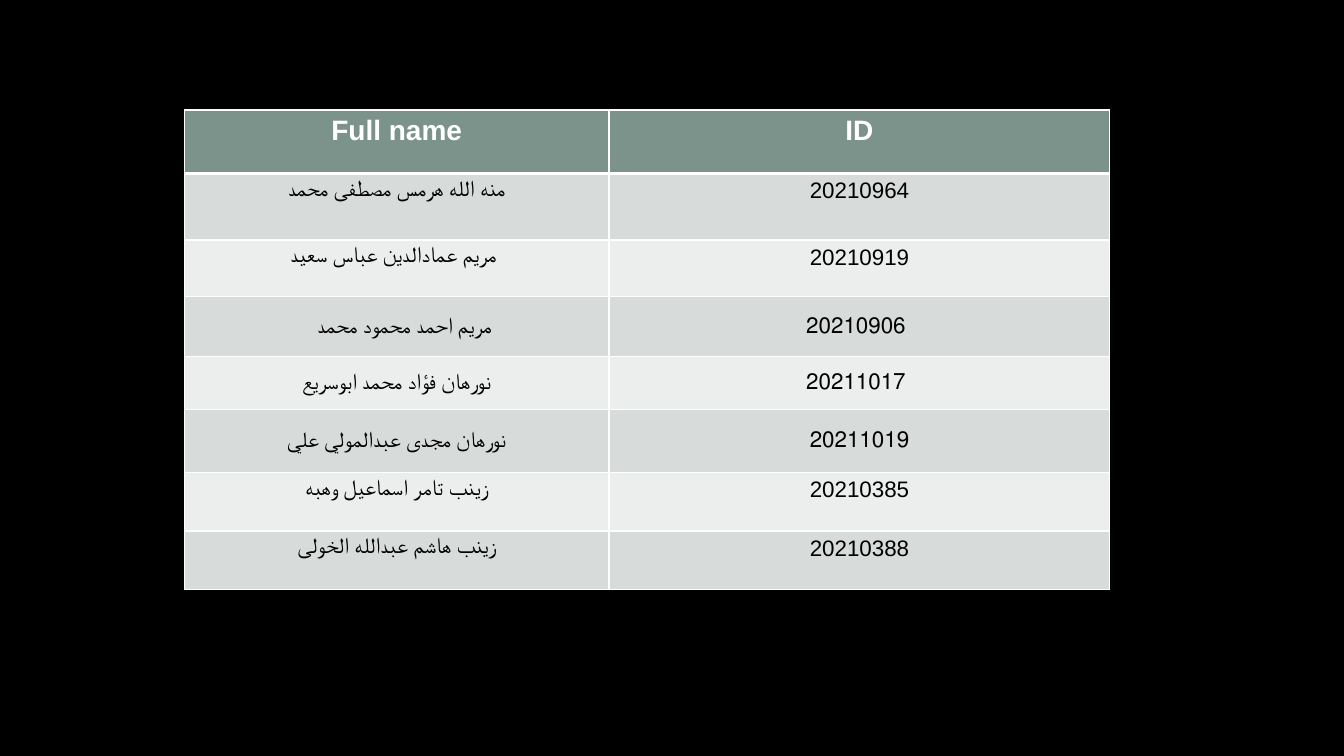
from dataclasses import dataclass

from lxml.etree import SubElement
from pptx import Presentation
from pptx.dml.color import RGBColor
from pptx.enum.text import MSO_ANCHOR, PP_ALIGN
from pptx.oxml.ns import qn
from pptx.util import Cm, Pt


@dataclass(frozen=True)
class Theme:
    font: str = "Arial"
    background: str = "000000"
    border: str = "FFFFFF"
    header_fill: str = "7C938B"
    header_text: str = "FFFFFF"
    bands: tuple = ("ECEEEE", "D7DCDA")
    body_text: str = "000000"
    header_size: int = 20
    body_size: int = 16
    thin: int = 1
    thick: int = 3


@dataclass(frozen=True)
class Student:
    name: str
    number: str
    height: float
    middle: bool = False
    name_insets: tuple = (0, 0)
    number_insets: tuple = (0, 0)


THEME = Theme()
HEADINGS = ("Full name", "ID")
HEADER_HEIGHT = 1.6
COLUMN_WIDTHS = (10.7, 12.62)
STUDENTS = (
    Student("منه الله هرمس مصطفى محمد", "20210964", 1.68),
    Student("مريم عمادالدين عباس سعيد", "20210919", 1.42, name_insets=(0, 0.16)),
    Student("مريم احمد محمود محمد", "20210906", 1.52, True, (0.4, 0), (0, 0.18)),
    Student("نورهان فؤاد محمد ابوسريع", "20211017", 1.32, True, (0, 0), (0, 0.18)),
    Student("نورهان مجدى عبدالمولي علي", "20211019", 1.6, True),
    Student("زينب تامر اسماعيل وهبه", "20210385", 1.47),
    Student("زينب هاشم عبدالله الخولى", "20210388", 1.47),
)


def set_borders(cell, top, bottom):
    tc_pr = cell._tc.get_or_add_tcPr()
    widths = {"a:lnL": THEME.thin, "a:lnR": THEME.thin, "a:lnT": top, "a:lnB": bottom}
    for tag, width in widths.items():
        ln = SubElement(tc_pr, qn(tag), w=str(Pt(width)))
        fill = SubElement(ln, qn("a:solidFill"))
        SubElement(fill, qn("a:srgbClr"), val=THEME.border)


def style_cell(cell, fill, top=THEME.thin, bottom=THEME.thin):
    set_borders(cell, top, bottom)
    cell.fill.solid()
    cell.fill.fore_color.rgb = RGBColor.from_string(fill)


def write_cell(cell, text, size, color, bold=False, rtl=False):
    p = cell.text_frame.paragraphs[0]
    p.alignment = PP_ALIGN.CENTER
    if rtl:
        p._p.get_or_add_pPr().set("rtl", "1")
    r = p.add_run()
    r.text = text
    r.font.name = THEME.font
    r.font.size = Pt(size)
    r.font.bold = bold
    r.font.color.rgb = RGBColor.from_string(color)


def place_text(cell, insets, middle):
    side = 0 if middle else 0.25
    cell.margin_left, cell.margin_right = (Cm(side + inset) for inset in insets)
    if middle:
        cell.margin_top = cell.margin_bottom = 0
        cell.vertical_anchor = MSO_ANCHOR.MIDDLE


def fill_header(table):
    table.rows[0].height = Cm(HEADER_HEIGHT)
    for col, heading in enumerate(HEADINGS):
        cell = table.cell(0, col)
        style_cell(cell, THEME.header_fill, bottom=THEME.thick)
        write_cell(cell, heading, THEME.header_size, THEME.header_text, bold=True)


def fill_student(table, row, student):
    table.rows[row].height = Cm(student.height)
    top = THEME.thick if row == 1 else THEME.thin
    entries = (
        (student.name, student.name_insets),
        (student.number, student.number_insets),
    )
    for col, (text, insets) in enumerate(entries):
        cell = table.cell(row, col)
        style_cell(cell, THEME.bands[row % 2], top=top)
        place_text(cell, insets, student.middle)
        write_cell(cell, text, THEME.body_size, THEME.body_text, rtl=student.middle)


def add_student_table(slide):
    height = HEADER_HEIGHT + sum(student.height for student in STUDENTS)
    frame = slide.shapes.add_table(
        len(STUDENTS) + 1, len(HEADINGS),
        Cm(4.65), Cm(2.77), Cm(sum(COLUMN_WIDTHS)), Cm(height),
    )
    table = frame.table
    for column, width in zip(table.columns, COLUMN_WIDTHS):
        column.width = Cm(width)
    fill_header(table)
    for row, student in enumerate(STUDENTS, start=1):
        fill_student(table, row, student)


def main():
    prs = Presentation()
    prs.slide_width, prs.slide_height = Cm(33.87), Cm(19.05)
    slide = prs.slides.add_slide(prs.slide_layouts[6])
    slide.background.fill.solid()
    slide.background.fill.fore_color.rgb = RGBColor.from_string(THEME.background)
    add_student_table(slide)
    prs.save("out.pptx")


if __name__ == "__main__":
    main()
